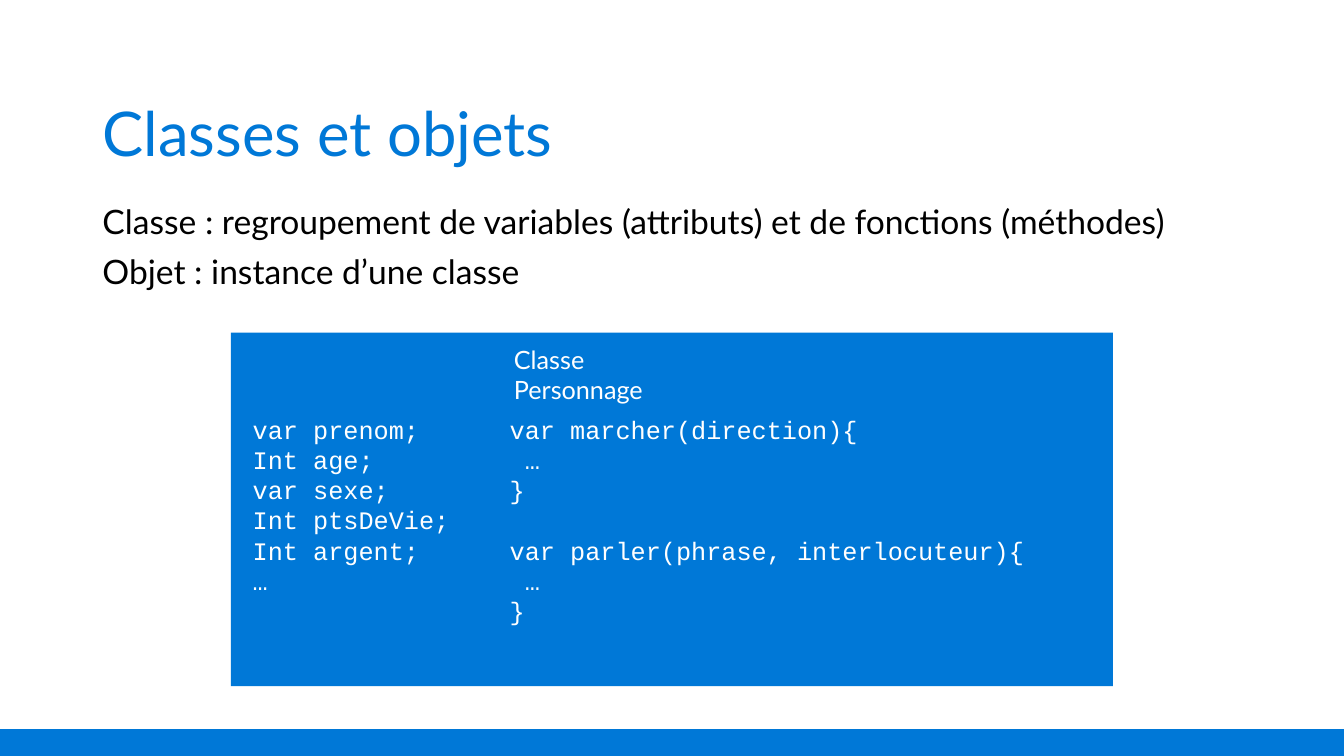
from dataclasses import dataclass

from lxml.etree import SubElement
from pptx import Presentation
from pptx.dml.color import RGBColor
from pptx.enum.shapes import MSO_SHAPE as Preset
from pptx.enum.text import MSO_ANCHOR as Anchor, MSO_AUTO_SIZE as AutoSize, PP_ALIGN as Align
from pptx.oxml.ns import qn
from pptx.util import Inches, Pt


@dataclass(frozen=True)
class Theme:
    blue = RGBColor.from_string("0078D7")
    white = RGBColor.from_string("FFFFFF")
    black = RGBColor.from_string("000000")
    text_font = "Lato"
    code_font = "Courier New"
    title_size = Pt(44)
    body_size = Pt(24)
    small_size = Pt(18)
    body_gap = Pt(10)
    code_line = Pt(21.6)
    tight = 0.9


def assign(target, formats):
    for name, value in formats.items():
        setattr(target, name, value)


class Page:
    """Draws the elements of one slide on a grid of 16 columns and 9 rows."""

    def __init__(self, deck, theme):
        self.theme = theme
        self.column = deck.slide_width / 16
        self.row = deck.slide_height / 9
        self.slide = deck.slides.add_slide(deck.slide_layouts[1])

    def area(self, left, top, width, height):
        return (round(left * self.column), round(top * self.row),
                round(width * self.column), round(height * self.row))

    def move(self, shape, place):
        names = ("left", "top", "width", "height")
        assign(shape, dict(zip(names, self.area(*place))))

    def set_text(self, frame, blocks, font, color, gap=Pt(0), spacing=None, anchor=Anchor.TOP):
        assign(frame, {"word_wrap": True, "auto_size": AutoSize.NONE, "vertical_anchor": anchor})
        lines = [(line, gap if index and not position else Pt(0))
                 for index, block in enumerate(blocks)
                 for position, line in enumerate(block)]
        for index, (line, before) in enumerate(lines):
            para = frame.add_paragraph() if index else frame.paragraphs[0]
            properties = para._p.get_or_add_pPr()
            for name in ("marL", "indent"):
                properties.set(name, "0")
            SubElement(properties, qn("a:buNone"))
            assign(para, {"alignment": Align.LEFT, "space_before": before,
                          "space_after": Pt(0), "line_spacing": spacing})
            span = para.add_run()
            span.text = line
            assign(span.font, font)
            span.font.color.rgb = color

    def title(self, text, place):
        theme = self.theme
        shape = self.slide.shapes.title
        self.move(shape, place)
        font = {"name": theme.text_font, "size": theme.title_size}
        self.set_text(shape.text_frame, [[text]], font, theme.blue,
                      spacing=theme.tight, anchor=Anchor.MIDDLE)

    def body(self, lines, place):
        theme = self.theme
        shape = self.slide.placeholders[1]
        self.move(shape, place)
        font = {"name": theme.text_font, "size": theme.body_size}
        self.set_text(shape.text_frame, [[line] for line in lines], font, theme.black,
                      gap=theme.body_gap, spacing=theme.tight)

    def panel(self, place):
        shape = self.slide.shapes.add_shape(Preset.RECTANGLE, *self.area(*place))
        shape.shadow.inherit = False
        shape.fill.solid()
        shape.fill.fore_color.rgb = self.theme.blue
        shape.line.fill.background()

    def label(self, text, place):
        theme = self.theme
        box = self.slide.shapes.add_textbox(*self.area(*place))
        font = {"name": theme.text_font, "size": theme.small_size}
        self.set_text(box.text_frame, [[text]], font, theme.white)

    def code(self, blocks, place):
        theme = self.theme
        box = self.slide.shapes.add_textbox(*self.area(*place))
        font = {"name": theme.code_font, "size": theme.small_size}
        self.set_text(box.text_frame, blocks, font, theme.white,
                      gap=theme.code_line, spacing=theme.code_line)


def main():
    deck = Presentation()
    assign(deck, {"slide_width": Inches(13.33), "slide_height": Inches(7.5)})
    page = Page(deck, Theme())
    page.title("Classes et objets", (1.1, 0.75, 13.8, 1.74))
    page.body(["Classe : regroupement de variables (attributs) et de fonctions (méthodes)",
               "Objet : instance d’une classe"], (1.1, 2.38, 14.25, 2.65))
    page.panel((0, 8.68, 16, 0.32))
    page.panel((2.75, 3.96, 10.5, 4.21))
    page.label("Classe Personnage", (6, 4.04, 2.6, 0.48))
    attributes = ["var prenom;", "Int age;", "var sexe;", "Int ptsDeVie;", "Int argent;", "…"]
    page.code([attributes], (2.89, 4.87, 2.65, 2.3))
    signatures = ["marcher(direction)", "parler(phrase, interlocuteur)"]
    methods = [[f"var {signature}{{", " …", "}"] for signature in signatures]
    page.code(methods, (5.95, 4.87, 6.4, 3.4))
    deck.save("out.pptx")


if __name__ == "__main__":
    main()
